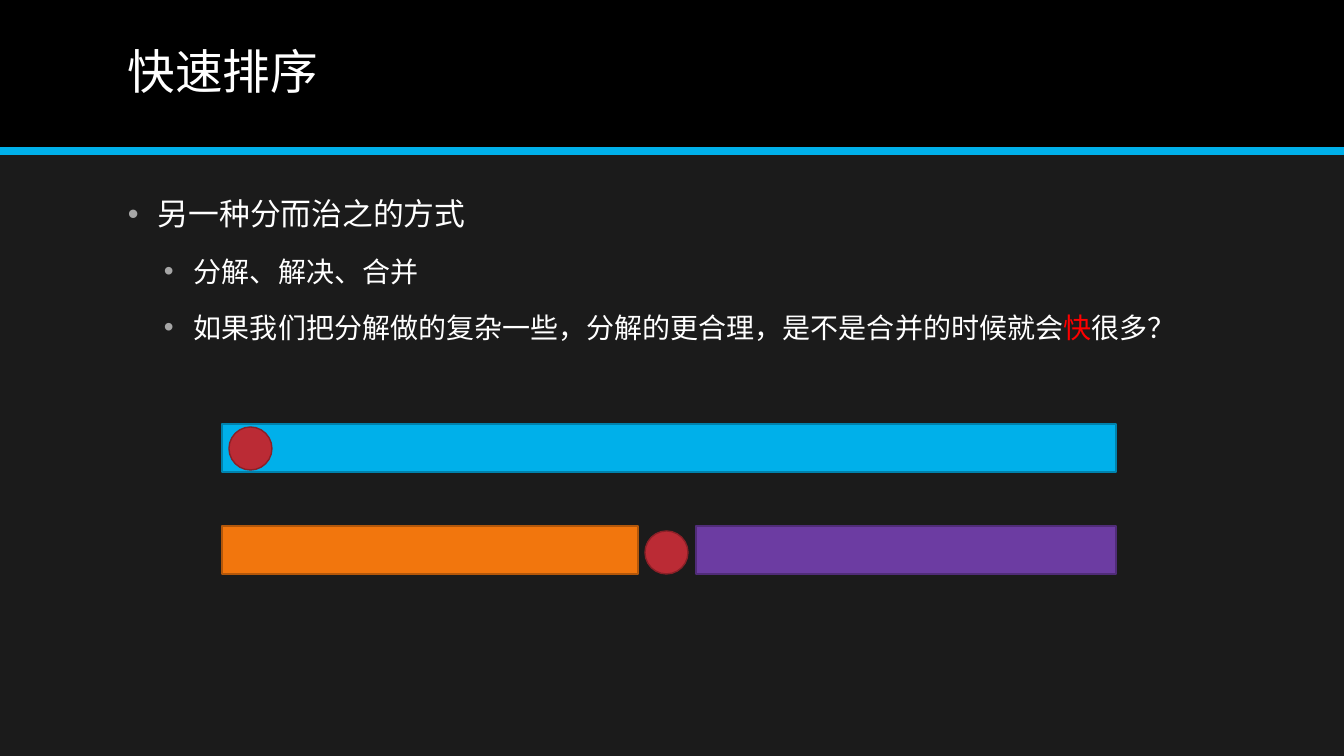
from dataclasses import dataclass

from lxml import etree
from pptx import Presentation
from pptx.dml.color import RGBColor
from pptx.enum.shapes import MSO_CONNECTOR, MSO_SHAPE
from pptx.enum.text import MSO_ANCHOR
from pptx.oxml.ns import qn
from pptx.slide import Slide
from pptx.text.text import TextFrame, _Paragraph, _Run
from pptx.util import Emu, Pt

RECTANGLE = MSO_SHAPE.RECTANGLE
OVAL = MSO_SHAPE.OVAL
STRAIGHT = MSO_CONNECTOR.STRAIGHT
MIDDLE = MSO_ANCHOR.MIDDLE
TOP = MSO_ANCHOR.TOP

PAGE_WIDTH, PAGE_HEIGHT = 1344, 756
EMU_PER_PX = 12192000 / PAGE_WIDTH


@dataclass(frozen=True)
class Theme:
    font: str = "Noto Sans CJK SC"
    background: str = "1B1B1B"
    header: str = "000000"
    text: str = "FFFFFF"
    highlight: str = "FF0000"
    bullet: str = "A6A6A6"
    blue: str = "00B0EA"
    blue_edge: str = "0082AD"
    orange: str = "F2760D"
    orange_edge: str = "B3570A"
    purple: str = "6C3CA2"
    purple_edge: str = "502C78"
    red: str = "BB2B35"
    red_edge: str = "8A2027"
    title_size: int = 34
    body_sizes: tuple[int, ...] = (22, 20)
    rule_width: int = 6
    edge_width: int = 1


THEME = Theme()


@dataclass(frozen=True)
class Block:
    left: int
    top: int
    width: int
    height: int
    fill: str
    edge: str | None = None
    kind: MSO_SHAPE = RECTANGLE


@dataclass(frozen=True)
class Bullet:
    level: int
    spans: tuple[tuple[str, str], ...]


# Array before and after partitioning around the pivot
ARRAY_LEFT, ARRAY_RIGHT = 222, 1116
BAR_HEIGHT = 48
WHOLE_TOP, PARTS_TOP = 424, 526
LEFT_PART_END, RIGHT_PART_START = 638, 696
PIVOT = 43


def bar(left: int, right: int, top: int, fill: str, edge: str) -> Block:
    return Block(left, top, right - left, BAR_HEIGHT, fill, edge)


def pivot(left: int, top: int) -> Block:
    return Block(left, top, PIVOT, PIVOT, THEME.red, THEME.red_edge, OVAL)


HEADER = Block(0, 0, PAGE_WIDTH, 151, THEME.header)
ARRAY_BLOCKS = (
    bar(ARRAY_LEFT, ARRAY_RIGHT, WHOLE_TOP, THEME.blue, THEME.blue_edge),
    bar(ARRAY_LEFT, LEFT_PART_END, PARTS_TOP, THEME.orange, THEME.orange_edge),
    bar(RIGHT_PART_START, ARRAY_RIGHT, PARTS_TOP, THEME.purple, THEME.purple_edge),
    pivot(229, 427),
    pivot(645, 531),
)
BULLETS = (
    Bullet(0, (("另一种分而治之的方式", THEME.text),)),
    Bullet(1, (("分解、解决、合并", THEME.text),)),
    Bullet(1, (
        ("如果我们把分解做的复杂一些，分解的更合理，是不是合并的时候就会", THEME.text),
        ("快", THEME.highlight),
        ("很多？", THEME.text),
    )),
)
INDENTS = (30, 66)
HANGING = 30
SPACE_BEFORE = (22, 16)


def px(length: int) -> Emu:
    return Emu(round(length * EMU_PER_PX))


def draw_block(page: Slide, block: Block) -> None:
    shape = page.shapes.add_shape(
        block.kind, px(block.left), px(block.top), px(block.width), px(block.height))
    shape.shadow.inherit = False
    shape.fill.solid()
    shape.fill.fore_color.rgb = RGBColor.from_string(block.fill)
    if block.edge is None:
        shape.line.fill.background()
    else:
        shape.line.color.rgb = RGBColor.from_string(block.edge)
        shape.line.width = Pt(THEME.edge_width)


def draw_rule(page: Slide, top: int) -> None:
    rule = page.shapes.add_connector(STRAIGHT, 0, px(top), px(PAGE_WIDTH), px(top))
    rule.line.color.rgb = RGBColor.from_string(THEME.blue)
    rule.line.width = Pt(THEME.rule_width)
    etree.SubElement(rule._element.spPr, qn("a:effectLst"))


def add_text_frame(page: Slide, top: int, height: int, anchor: MSO_ANCHOR) -> TextFrame:
    box = page.shapes.add_textbox(px(118), px(top), px(1109), px(height))
    frame = box.text_frame
    frame.word_wrap = True
    frame.vertical_anchor = anchor
    return frame


def format_span(span: _Run, size: int, color: str) -> None:
    span.font.size = Pt(size)
    span.font.name = THEME.font
    span.font.color.rgb = RGBColor.from_string(color)
    east_asian = etree.SubElement(span.font._element, qn("a:ea"))
    east_asian.set("typeface", THEME.font)


def add_bullet_mark(para: _Paragraph, level: int) -> None:
    properties = para._p.get_or_add_pPr()
    properties.set("marL", str(px(INDENTS[level])))
    properties.set("indent", str(-px(HANGING)))
    color = etree.SubElement(properties, qn("a:buClr"))
    etree.SubElement(color, qn("a:srgbClr")).set("val", THEME.bullet)
    etree.SubElement(properties, qn("a:buFont")).set("typeface", "Arial")
    etree.SubElement(properties, qn("a:buChar")).set("char", "•")


def write_bullets(frame: TextFrame, bullets: tuple[Bullet, ...]) -> None:
    for index, bullet in enumerate(bullets):
        para = frame.add_paragraph() if index else frame.paragraphs[0]
        para.level = bullet.level
        add_bullet_mark(para, bullet.level)
        if index:
            para.space_before = Pt(SPACE_BEFORE[bullet.level])
        for words, color in bullet.spans:
            span = para.add_run()
            span.text = words
            format_span(span, THEME.body_sizes[bullet.level], color)


def main() -> None:
    deck = Presentation()
    deck.slide_width, deck.slide_height = px(PAGE_WIDTH), px(PAGE_HEIGHT)
    page = deck.slides.add_slide(deck.slide_layouts[6])
    page.background.fill.solid()
    page.background.fill.fore_color.rgb = RGBColor.from_string(THEME.background)

    # Header band and title
    draw_block(page, HEADER)
    draw_rule(page, HEADER.height)
    title = add_text_frame(page, 14, 121, MIDDLE)
    title.text = "快速排序"
    title.paragraphs[0].line_spacing = 0.9
    format_span(title.paragraphs[0].runs[0], THEME.title_size, THEME.text)

    # Bullet points
    write_bullets(add_text_frame(page, 190, 492, TOP), BULLETS)

    # Array diagram
    for block in ARRAY_BLOCKS:
        draw_block(page, block)

    deck.save("out.pptx")


if __name__ == "__main__":
    main()
